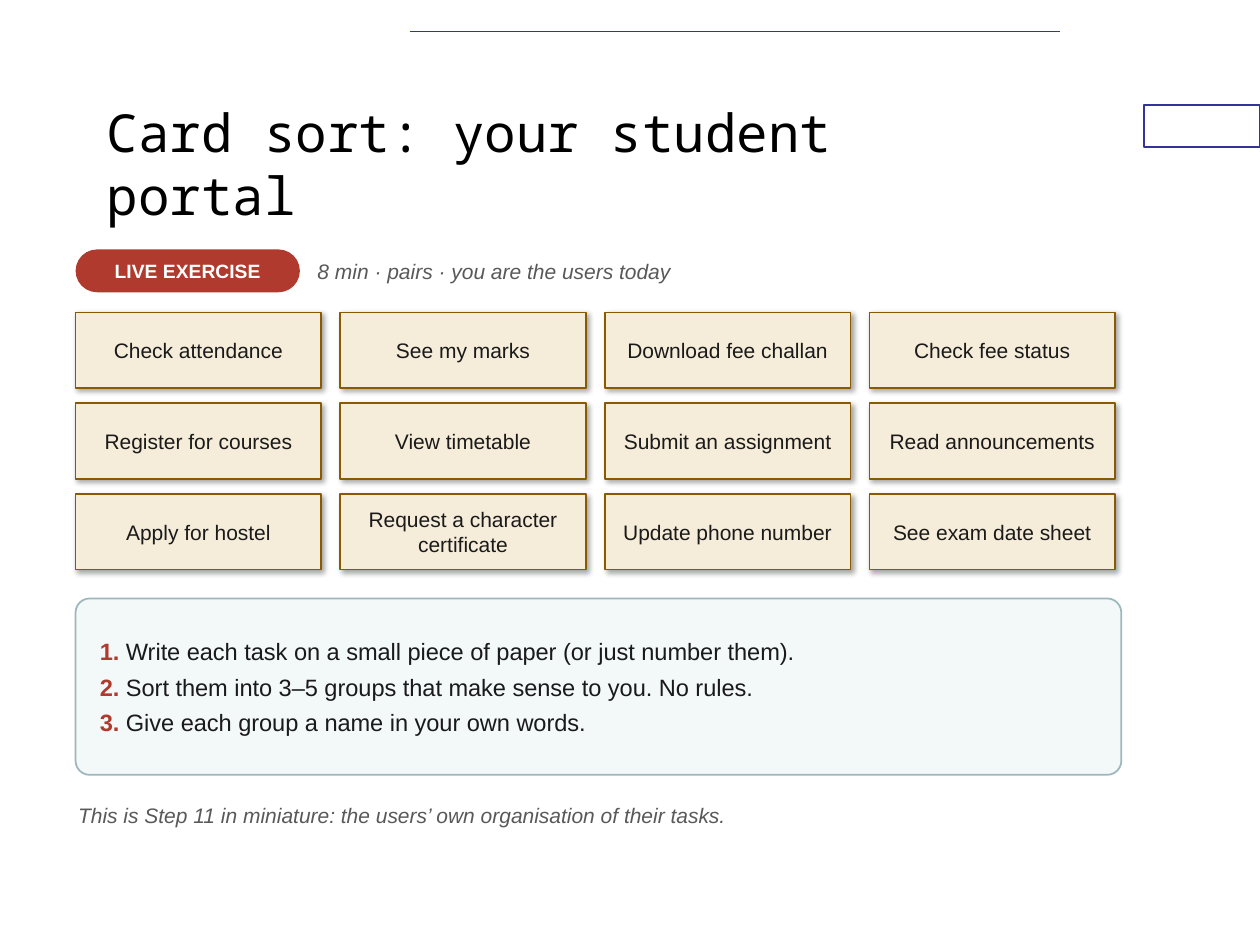
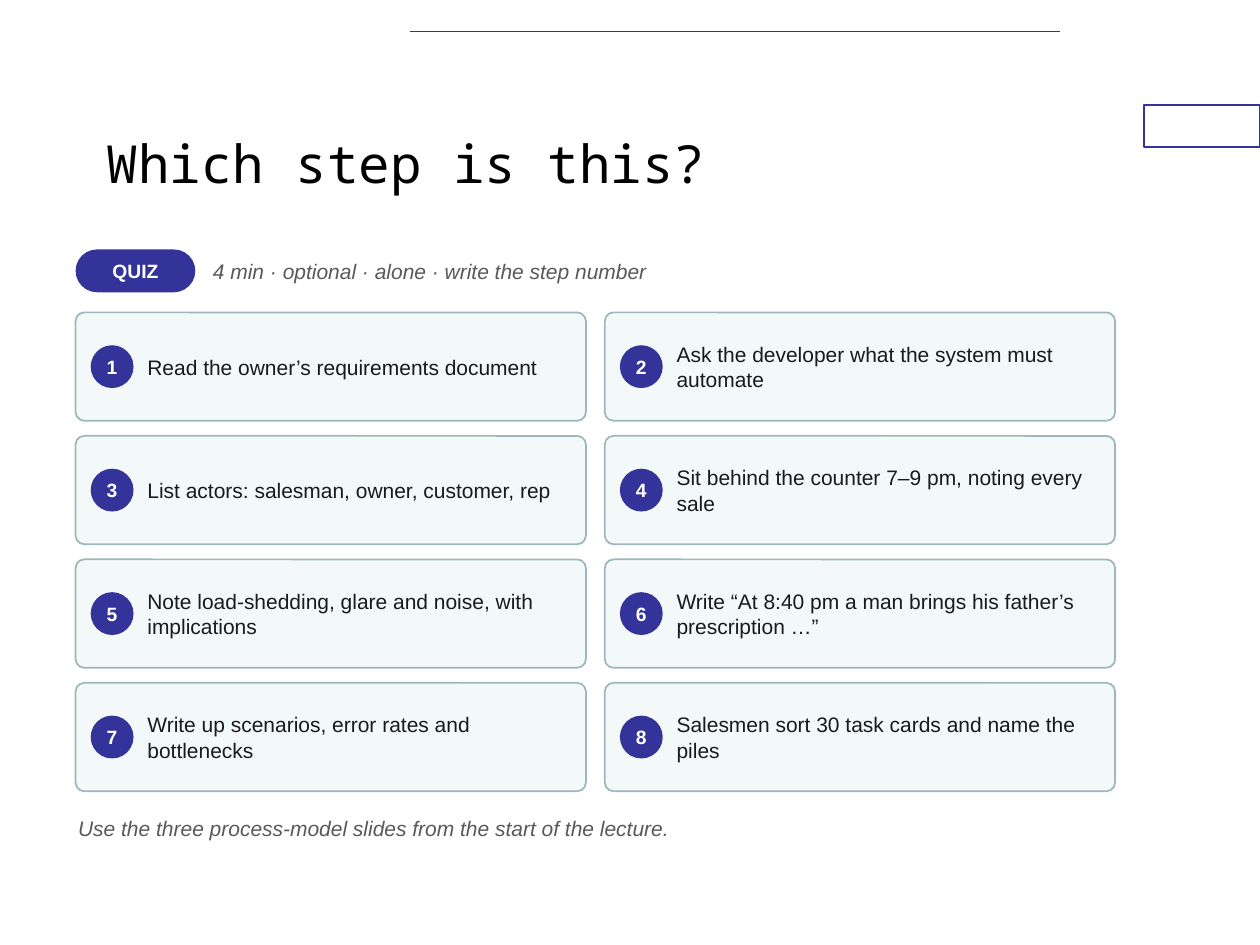
from lxml import etree
from pptx import Presentation
from pptx import util as u
from pptx.dml.color import RGBColor
from pptx.enum import shapes, text
from pptx.oxml import ns

INDIGO, RED, WHITE, BLACK = "333399", "B03A2E", "FFFFFF", "000000"
INK, GREY = "1A1A1A", "595959"
CARD, CARD_EDGE = "F5ECD9", "8A5A00"
PANEL, PANEL_EDGE = "F3F8F9", "9DB8BC"
BODY_FONT, TITLE_FONT = "Arial", "Noto Sans Mono"
LEFT, RIGHT, GRID_TOP, GRID_WIDTH = 43.2, 640.8, 178.56, 594
GAP_X, GAP_Y = 10.8, 8.64
PILL_TOP, BADGE = 142.56, 24.48

RECT = shapes.MSO_SHAPE.RECTANGLE
ROUNDED = shapes.MSO_SHAPE.ROUNDED_RECTANGLE
OVAL = shapes.MSO_SHAPE.OVAL
CENTER = text.PP_ALIGN.CENTER
MIDDLE, TOP = text.MSO_ANCHOR.MIDDLE, text.MSO_ANCHOR.TOP

TASKS = [
    "Check attendance", "See my marks", "Download fee challan", "Check fee status",
    "Register for courses", "View timetable", "Submit an assignment", "Read announcements",
    "Apply for hostel", "Request a character certificate", "Update phone number",
    "See exam date sheet",
]
RULES = [
    "Write each task on a small piece of paper (or just number them).",
    "Sort them into 3–5 groups that make sense to you. No rules.",
    "Give each group a name in your own words.",
]
QUESTIONS = [
    "Read the owner’s requirements document",
    "Ask the developer what the system must automate",
    "List actors: salesman, owner, customer, rep",
    "Sit behind the counter 7–9 pm, noting every sale",
    "Note load-shedding, glare and noise, with implications",
    "Write “At 8:40 pm a man brings his father’s prescription …”",
    "Write up scenarios, error rates and bottlenecks",
    "Salesmen sort 30 task cards and name the piles",
]


def rgb(value):
    """Turn a hex string into a colour."""
    return RGBColor.from_string(value)


def style_font(font, size, color, bold=False, italic=False, name=BODY_FONT):
    """Set every font property at once."""
    font.name, font.size, font.bold, font.italic = name, u.Pt(size), bold, italic
    font.color.rgb = rgb(color)


def set_frame(sp, inset, anchor=MIDDLE):
    """Prepare a wrapping text frame with equal insets."""
    tf = sp.text_frame
    tf.word_wrap = True
    tf.vertical_anchor = anchor
    tf.margin_left = tf.margin_right = tf.margin_top = tf.margin_bottom = u.Pt(inset)
    return tf


def write(tf, words, size, color, align=text.PP_ALIGN.LEFT, **style):
    """Write one paragraph into a text frame."""
    p = tf.paragraphs[0]
    p.text = words
    p.alignment = align
    style_font(p.font, size, color, **style)


def add_box(s, kind, x, y, w, h, fill, edge=None, weight=1, radius=None):
    """Add a flat preset shape."""
    sp = s.shapes.add_shape(kind, u.Pt(x), u.Pt(y), u.Pt(w), u.Pt(h))
    sp.shadow.inherit = False
    sp.fill.solid()
    sp.fill.fore_color.rgb = rgb(fill)
    if edge:
        sp.line.color.rgb = rgb(edge)
        sp.line.width = u.Pt(weight)
    else:
        sp.line.fill.background()
    if radius is not None:
        sp.adjustments[0] = radius
    return sp


def add_label(s, words, x, y, w, h, size, color, inset=1.44, anchor=MIDDLE, **style):
    """Add a text box holding one paragraph."""
    sp = s.shapes.add_textbox(u.Pt(x), u.Pt(y), u.Pt(w), u.Pt(h))
    write(set_frame(sp, inset, anchor), words, size, color, **style)


def drop_shadow(sp):
    """Give a shape a soft shadow to the lower right."""
    effects = sp._element.spPr.find(ns.qn("a:effectLst"))
    shadow = etree.SubElement(effects, ns.qn("a:outerShdw"), blurRad=str(u.Pt(3)),
                              dist=str(u.Pt(2)), dir=str(45 * 60000), rotWithShape="0")
    color = etree.SubElement(shadow, ns.qn("a:srgbClr"), val=BLACK)
    etree.SubElement(color, ns.qn("a:alpha"), val="35000")


def add_rule(s, x1, x2, y):
    """Add a thin horizontal line."""
    line = s.shapes.add_connector(shapes.MSO_CONNECTOR.STRAIGHT,
                                  u.Pt(x1), u.Pt(y), u.Pt(x2), u.Pt(y))
    line.line.color.rgb = rgb(INDIGO)
    line.line.width = u.Pt(1)
    etree.SubElement(line._element.spPr, ns.qn("a:effectLst"))


def add_base(prs, title):
    """Start a slide with the shared decoration and title."""
    s = prs.slides.add_slide(prs.slide_layouts[6])
    add_box(s, RECT, 653.76, 60, 66.24, 24, WHITE, INDIGO, 0.75)
    add_rule(s, 234, 606, 18)
    sp = s.shapes.add_textbox(u.Pt(54), u.Pt(48), u.Pt(540), u.Pt(90))
    tf = sp.text_frame
    tf.word_wrap = True
    tf.vertical_anchor = MIDDLE
    write(tf, title, 30, BLACK, name=TITLE_FONT)
    return s


def add_pill(s, tag, width, color, note):
    """Add the activity tag and the note beside it."""
    sp = add_box(s, ROUNDED, LEFT, PILL_TOP, width, BADGE, color, radius=0.5)
    write(set_frame(sp, 2.16), tag, 11, WHITE, CENTER, bold=True)
    x = LEFT + width + 8.64
    add_label(s, note, x, PILL_TOP, RIGHT - x, BADGE, 12, GREY, italic=True)


def add_footnote(s, words, y):
    """Add the closing remark."""
    add_label(s, words, LEFT, y, RIGHT - LEFT, 36, 12, GREY, anchor=TOP, italic=True)


def grid(items, cols, height):
    """Yield each item with its cell's left, top and width."""
    width = (GRID_WIDTH - (cols - 1) * GAP_X) / cols
    for i, item in enumerate(items):
        row, col = divmod(i, cols)
        yield item, LEFT + col * (width + GAP_X), GRID_TOP + row * (height + GAP_Y), width


def add_task_card(s, task, x, y, w, h):
    """Add a paper card naming one task."""
    sp = add_box(s, RECT, x, y, w, h, CARD, CARD_EDGE)
    drop_shadow(sp)
    write(set_frame(sp, 4.32), task, 12, INK, CENTER)


def add_question(s, number, question, x, y, w, h):
    """Add a panel with a numbered badge and a question."""
    add_box(s, ROUNDED, x, y, w, h, PANEL, PANEL_EDGE, radius=0.08)
    sp = add_box(s, OVAL, x + 8.64, y + (h - BADGE) / 2, BADGE, BADGE, INDIGO)
    write(set_frame(sp, 0), str(number), 11, WHITE, CENTER, bold=True)
    add_label(s, question, x + 39.6, y + 2.88, w - 46.8, h - 5.76, 12, INK)


def add_rules_panel(s, rules, y, h):
    """Add the panel of numbered instructions."""
    sp = add_box(s, ROUNDED, LEFT, y, RIGHT - LEFT, h, PANEL, PANEL_EDGE, radius=0.08)
    tf = set_frame(sp, 11.52)
    for number, rule in enumerate(rules, 1):
        p = tf.paragraphs[0] if number == 1 else tf.add_paragraph()
        p.alignment = text.PP_ALIGN.LEFT
        if number > 1:
            p.space_before = u.Pt(4)
        for words, color, bold in ((f"{number}. ", RED, True), (rule, INK, False)):
            r = p.add_run()
            r.text = words
            style_font(r.font, 13.5, color, bold)


def build_card_sort(prs):
    """Build the card sorting exercise."""
    s = add_base(prs, "Card sort: your student portal")
    add_pill(s, "LIVE EXERCISE", 128.16, RED, "8 min · pairs · you are the users today")
    height = 43.2
    for task, x, y, w in grid(TASKS, 4, height):
        add_task_card(s, task, x, y, w, height)
    add_rules_panel(s, RULES, 342, 100.8)
    add_footnote(s, "This is Step 11 in miniature: the users’ own organisation of their tasks.",
                 457.2)


def build_quiz(prs):
    """Build the step quiz."""
    s = add_base(prs, "Which step is this?")
    add_pill(s, "QUIZ", 68.4, INDIGO, "4 min · optional · alone · write the step number")
    height = 61.92
    for (number, question), x, y, w in grid(enumerate(QUESTIONS, 1), 2, height):
        add_question(s, number, question, x, y, w, height)
    add_footnote(s, "Use the three process-model slides from the start of the lecture.", 464.4)


def main():
    """Build and save the presentation."""
    prs = Presentation()
    prs.slide_width, prs.slide_height = u.Pt(720), u.Pt(540)
    build_card_sort(prs)
    build_quiz(prs)
    prs.save("out.pptx")


if __name__ == "__main__":
    main()
